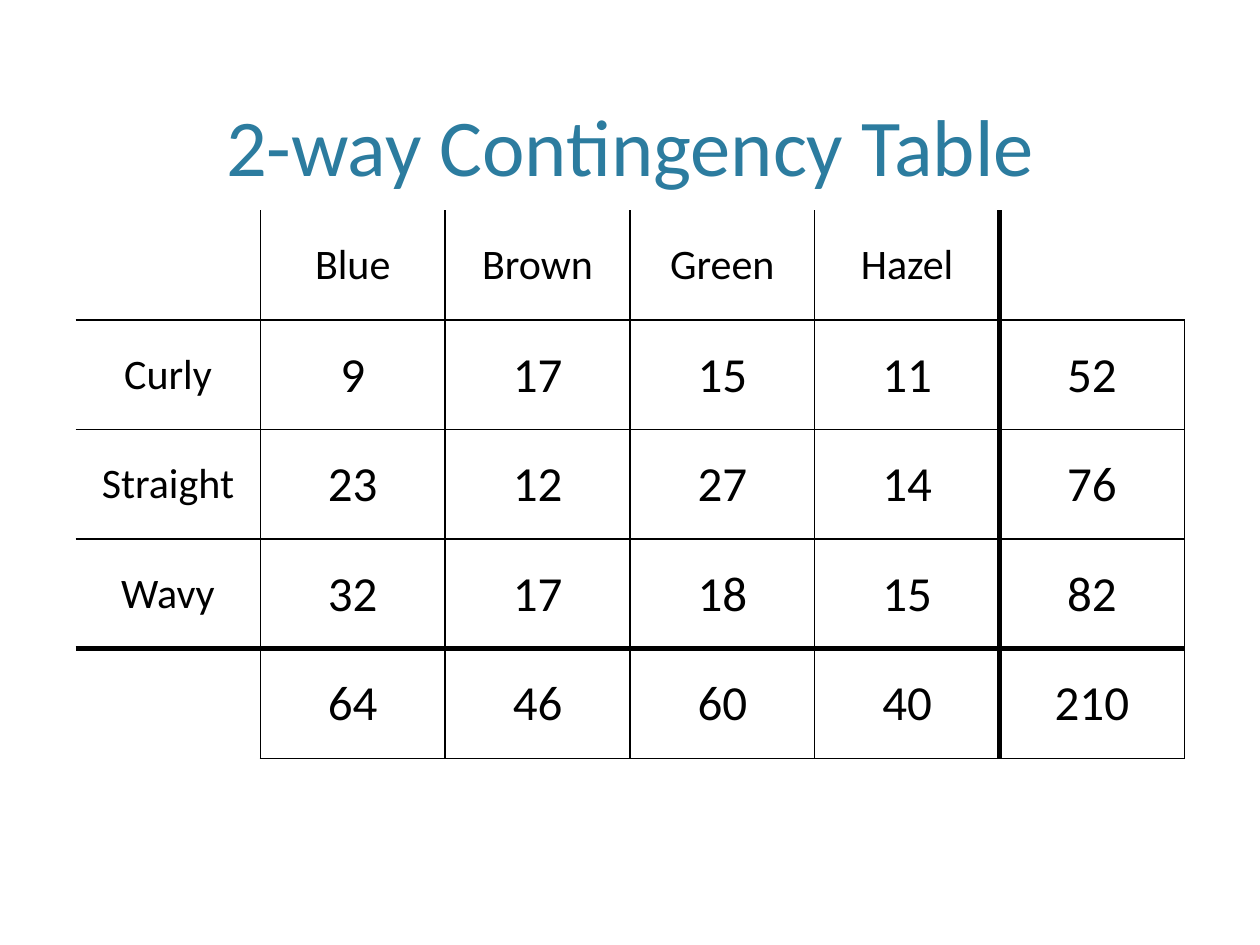
"""Build a slide with a two-way contingency table of hair type by eye colour."""
import lxml.etree
import pptx
import pptx.dml.color
import pptx.enum.text
import pptx.oxml.ns
import pptx.util

Inches = pptx.util.Inches
COLORS = {"title": "2C7C9F", "ink": "000000"}
ROWS = [
    ["", "Blue", "Brown", "Green", "Hazel", ""],
    ["Curly", "9", "17", "15", "11", "52"],
    ["Straight", "23", "12", "27", "14", "76"],
    ["Wavy", "32", "17", "18", "15", "82"],
    ["", "64", "46", "60", "40", "210"],
]


def write_text(text_frame, text, size=24, color="ink"):
    paragraph = text_frame.paragraphs[0]
    paragraph.text = text
    paragraph.alignment = pptx.enum.text.PP_ALIGN.CENTER
    paragraph.font.name = "Calibri"
    paragraph.font.size = pptx.util.Pt(size)
    paragraph.font.color.rgb = pptx.dml.color.RGBColor.from_string(COLORS[color])


def add_border(cell, side, width):
    qn = pptx.oxml.ns.qn
    properties = cell._tc.get_or_add_tcPr()
    line = lxml.etree.SubElement(properties, qn(f"a:ln{side}"), w=str(pptx.util.Pt(width)))
    if width:
        fill = lxml.etree.SubElement(line, qn("a:solidFill"))
        lxml.etree.SubElement(fill, qn("a:srgbClr"), val=COLORS["ink"])
    else:
        lxml.etree.SubElement(line, qn("a:noFill"))


presentation = pptx.Presentation()
presentation.slide_width, presentation.slide_height = Inches(10), Inches(7.5)
slide = presentation.slides.add_slide(presentation.slide_layouts[5])

title = slide.shapes.title
title.left, title.top = Inches(0.6), Inches(0.12)
title.width, title.height = Inches(8.8), Inches(1.46)
title.text_frame.auto_size = pptx.enum.text.MSO_AUTO_SIZE.NONE
title.text_frame.vertical_anchor = pptx.enum.text.MSO_ANCHOR.BOTTOM
write_text(title.text_frame, "2-way Contingency Table", size=46, color="title")

last_row, last_column = len(ROWS) - 1, len(ROWS[0]) - 1
table = slide.shapes.add_table(
    len(ROWS), len(ROWS[0]), Inches(0.6), Inches(1.67), Inches(8.8), Inches(4.35)
).table
table.first_row = False
table.horz_banding = False

for row, labels in enumerate(ROWS):
    vertical_widths = [0, 1, 1, 1, 1, 3, 1 if row else 0]
    for column, label in enumerate(labels):
        horizontal_widths = [0, 1, 1, 1, 3, 1 if column else 0]
        cell = table.cell(row, column)
        add_border(cell, "L", vertical_widths[column])
        add_border(cell, "R", vertical_widths[column + 1])
        add_border(cell, "T", horizontal_widths[row])
        add_border(cell, "B", horizontal_widths[row + 1])
        cell.fill.background()
        cell.vertical_anchor = pptx.enum.text.MSO_ANCHOR.MIDDLE
        is_count = row > 0 and column > 0
        if is_count:
            cell.margin_left = cell.margin_right = cell.margin_top = Inches(0.01)
            cell.margin_bottom = 0
        if label:
            write_text(cell.text_frame, label, size=28 if is_count else 24)

presentation.save("out.pptx")
